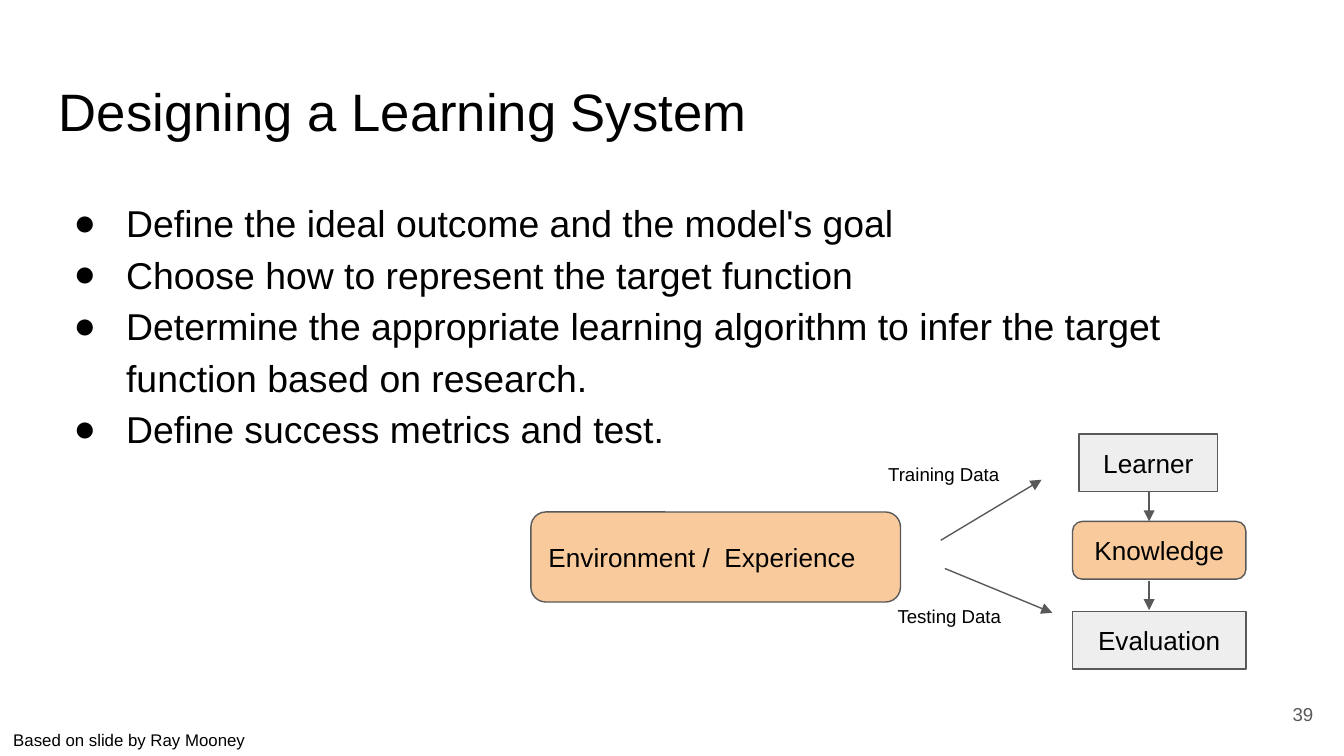
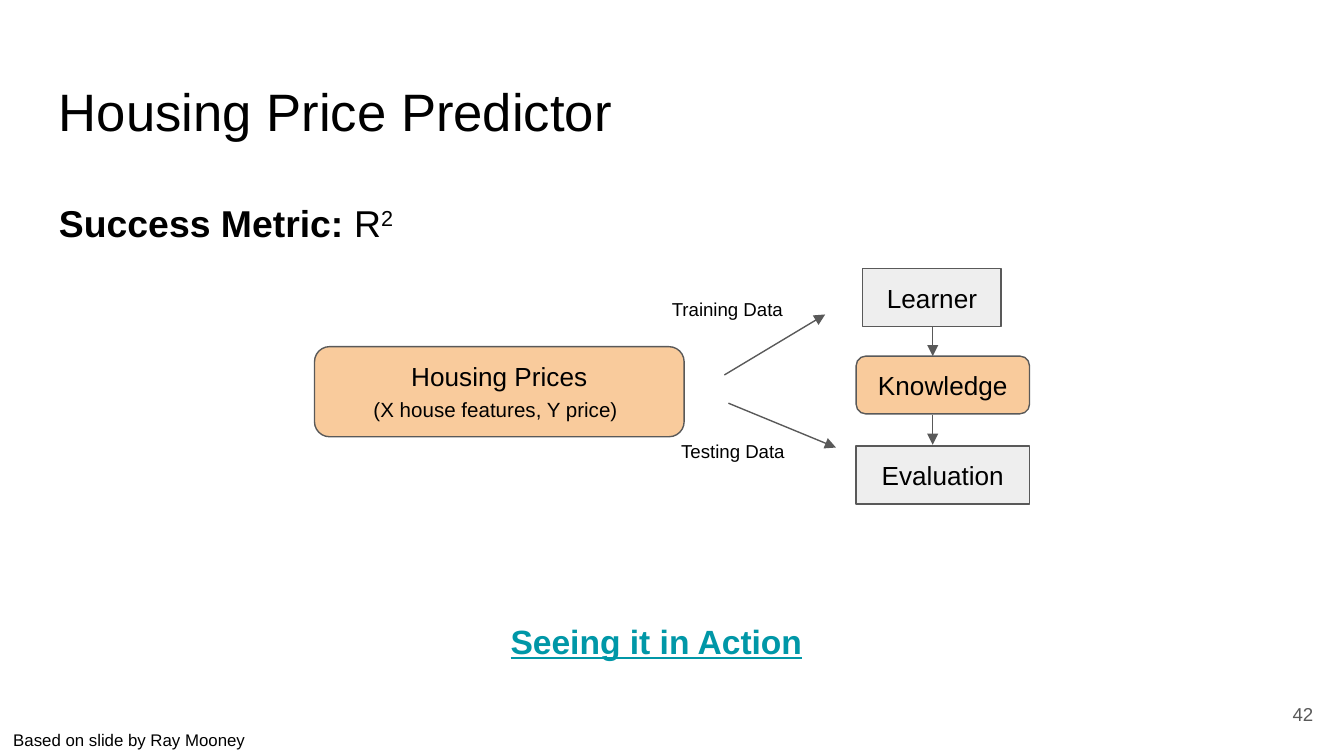
from dataclasses import dataclass

from lxml import etree
from pptx import Presentation
from pptx import util as u
from pptx.dml.color import RGBColor
from pptx.enum import shapes, text
from pptx.oxml import ns

LEFT, MID, RIGHT = text.PP_ALIGN.LEFT, text.PP_ALIGN.CENTER, text.PP_ALIGN.RIGHT
TOP, CENTER = text.MSO_ANCHOR.TOP, text.MSO_ANCHOR.MIDDLE
RECT = shapes.MSO_SHAPE.RECTANGLE
ROUND = shapes.MSO_SHAPE.ROUNDED_RECTANGLE


@dataclass(frozen=True)
class Theme:
    font: str = "Arial"
    ink: str = "000000"
    gray: str = "595959"
    pale: str = "EEEEEE"
    peach: str = "F9CB9C"
    teal: str = "0097A7"
    title: float = 28.2
    body: float = 20
    link: float = 18
    node: float = 14
    sub: float = 11
    label: float = 10
    credit: float = 9
    rule: float = 0.75


@dataclass(frozen=True)
class Run:
    text: str
    size: float
    color: str = Theme.ink
    bold: bool = False
    under: bool = False
    raised: bool = False


class Deck:
    def __init__(self, theme):
        self.theme = theme
        self.prs = Presentation()
        # Widescreen, 16:9
        self.prs.slide_width = u.Inches(10)
        self.prs.slide_height = u.Inches(10 * 9 / 16)
        self.slide = None

    def page(self, title, number):
        """Start a slide with its title, number and credit."""
        t = self.theme
        self.slide = self.prs.slides.add_slide(self.prs.slide_layouts[6])
        self.text((0.34, 0.49, 9.32, 0.63), [[Run(title, t.title)]])
        self.text((9.27, 5.1, 0.6, 0.43), [[Run(str(number), t.label, t.gray)]],
                  RIGHT, CENTER)
        self.text((0, 5.32, 2.51, 0.22),
                  [[Run("Based on slide by Ray Mooney", t.credit)]], space=1.15)

    def fill(self, frame, paras, align, anchor, space=1.0, bullet=False):
        frame.word_wrap = True
        frame.vertical_anchor = anchor
        frame.margin_left = frame.margin_right = u.Inches(0.1)
        frame.margin_top = frame.margin_bottom = u.Inches(0.1)
        for i, runs in enumerate(paras):
            para = frame.add_paragraph() if i else frame.paragraphs[0]
            para.alignment = align
            para.line_spacing = space
            if bullet:
                self.bullet(para)
            for item in runs:
                run = para.add_run()
                run.text = item.text
                font = run.font
                font.name = self.theme.font
                font.size = u.Pt(item.size)
                font.bold = item.bold
                font.underline = item.under
                font.color.rgb = RGBColor.from_string(item.color)
                if item.raised:
                    run._r.get_or_add_rPr().set("baseline", "30000")

    def bullet(self, para):
        props = para._p.get_or_add_pPr()
        props.set("marL", str(u.Inches(0.5)))
        props.set("indent", str(u.Inches(-0.39)))
        etree.SubElement(props, ns.qn("a:buFont")).set("typeface", self.theme.font)
        etree.SubElement(props, ns.qn("a:buChar")).set("char", "●")

    def text(self, at, paras, align=LEFT, anchor=TOP, space=1.0, bullet=False):
        box = self.slide.shapes.add_textbox(*map(u.Inches, at))
        self.fill(box.text_frame, paras, align, anchor, space, bullet)

    def node(self, kind, at, color, paras, align=MID):
        box = self.slide.shapes.add_shape(kind, *map(u.Inches, at))
        box.shadow.inherit = False
        box.fill.solid()
        box.fill.fore_color.rgb = RGBColor.from_string(color)
        self.stroke(box.line)
        self.fill(box.text_frame, paras, align, CENTER)

    def stroke(self, line):
        line.color.rgb = RGBColor.from_string(self.theme.gray)
        line.width = u.Pt(self.theme.rule)

    def arrow(self, *ends):
        link = self.slide.shapes.add_connector(
            shapes.MSO_CONNECTOR.STRAIGHT, *map(u.Inches, ends))
        self.stroke(link.line)
        props = link._element.spPr
        tail = etree.SubElement(props.find(ns.qn("a:ln")), ns.qn("a:tailEnd"))
        tail.set("type", "triangle")
        etree.SubElement(props, ns.qn("a:effectLst"))

    def flow(self, x, y, source, align):
        """Draw the learning diagram; x, y is the corner of the source box."""
        t = self.theme
        self.node(ROUND, (x, y, 2.75, 0.67), t.peach, source, align)
        # Data split
        for name, dx, dy in (("Training Data", 2.56, -0.45),
                             ("Testing Data", 2.63, 0.61)):
            self.text((x + dx, y + dy, 1.18, 0.3), [[Run(name, t.label)]])
        self.arrow(x + 3.05, y + 0.21, x + 3.8, y - 0.24)
        self.arrow(x + 3.08, y + 0.42, x + 3.88, y + 0.75)
        # Model column
        for name, kind, color, dx, dy, wide in (
                ("Learner", RECT, t.pale, 4.08, -0.58, 1.03),
                ("Knowledge", ROUND, t.peach, 4.03, 0.07, 1.29),
                ("Evaluation", RECT, t.pale, 4.03, 0.74, 1.29)):
            self.node(kind, (x + dx, y + dy, wide, 0.43), color,
                      [[Run(name, t.node)]])
        for dy in (-0.15, 0.51):
            self.arrow(x + 4.6, y + dy, x + 4.6, y + dy + 0.22)


def main():
    t = Theme()
    deck = Deck(t)
    body = (0.34, 1.34, 9.32, 3.74)

    # Design steps
    deck.page("Designing a Learning System", 39)
    steps = (
        "Define the ideal outcome and the model's goal",
        "Choose how to represent the target function",
        "Determine the appropriate learning algorithm to infer the target "
        "function based on research.",
        "Define success metrics and test.",
    )
    deck.text(body, [[Run(step, t.body)] for step in steps],
              space=1.15, bullet=True)
    deck.flow(3.95, 3.81, [[Run("Environment /  Experience", t.node)]], LEFT)

    # Housing example
    deck.page("Housing Price Predictor", 42)
    deck.text(body, [[Run("Success Metric: ", t.body, bold=True),
                      Run("R", t.body), Run("2", t.body, raised=True)]],
              space=1.15)
    deck.flow(2.34, 2.58, [[Run("Housing Prices", t.node)],
                           [Run("(X house features, Y price)", t.sub),
                            Run(" ", t.node)]], MID)
    deck.text((3.7, 4.52, 2.42, 0.56),
              [[Run("Seeing it in Action", t.link, t.teal, True, True)]])

    deck.prs.save("out.pptx")


if __name__ == "__main__":
    main()
